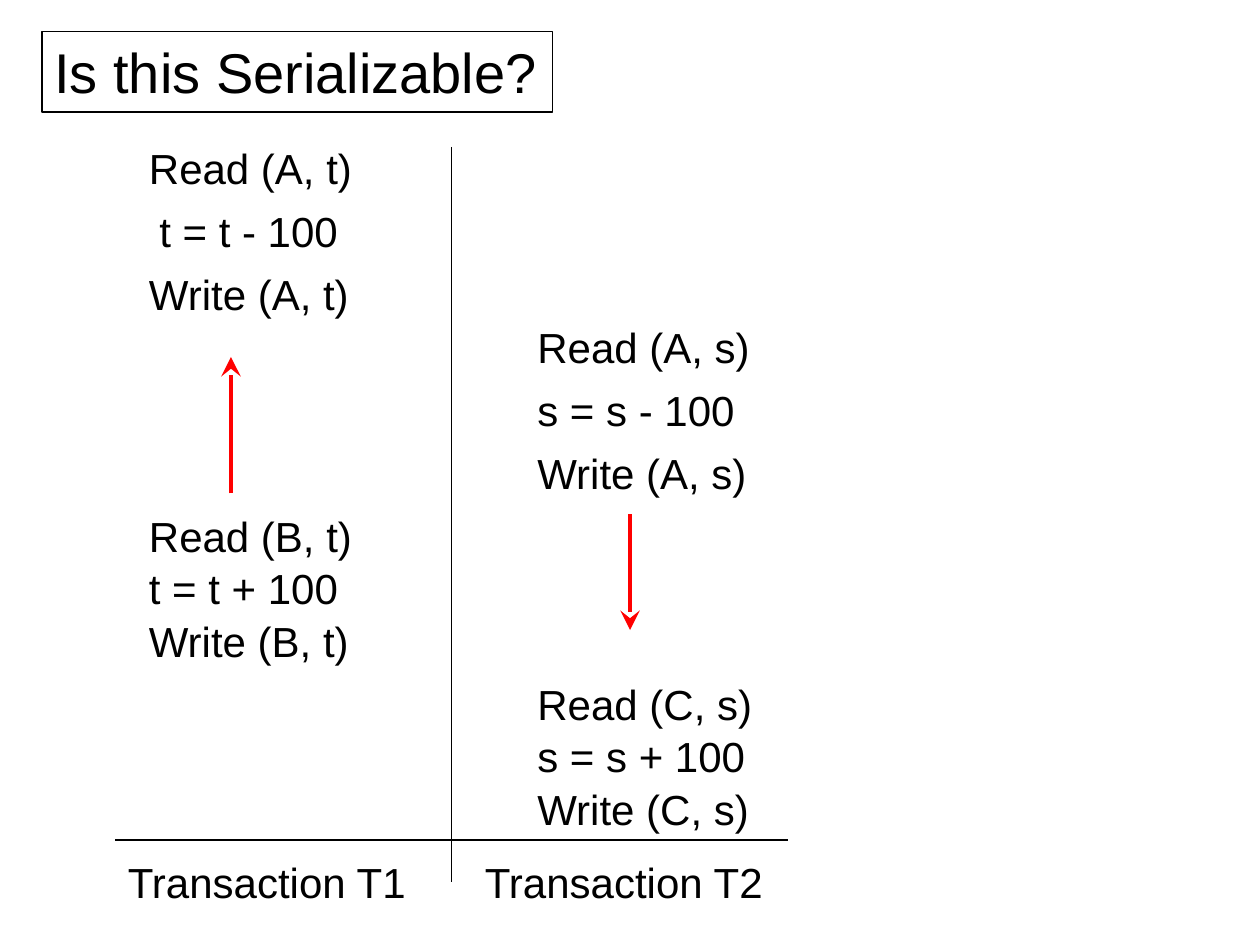
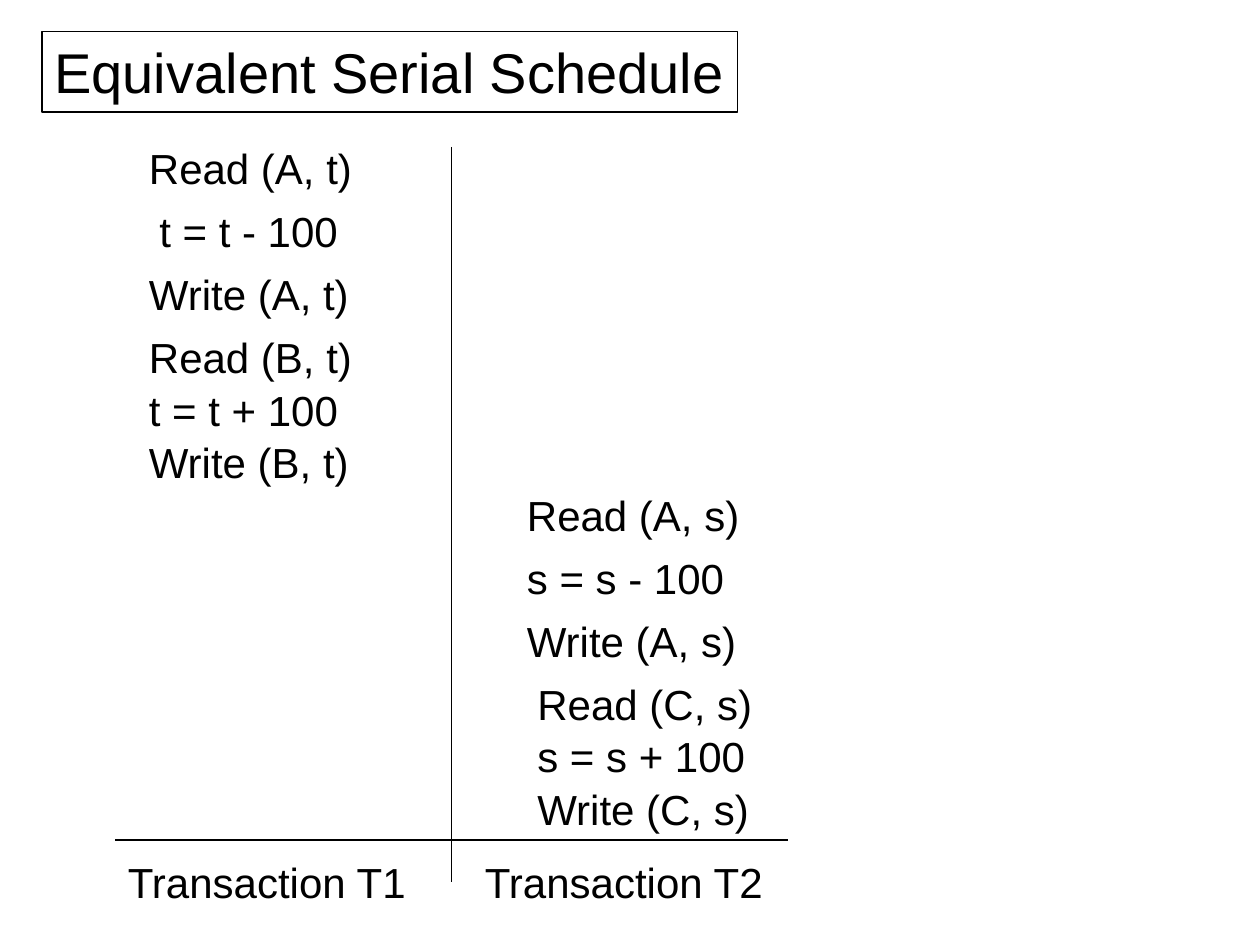
from lxml import etree
from pptx import Presentation
from pptx import util as u
from pptx.dml.color import RGBColor
from pptx.enum import shapes, text
from pptx.oxml import ns

BLACK = RGBColor(0, 0, 0)
RED = RGBColor(255, 0, 0)
FONT = "Arial"
WIDTH, HEIGHT = u.Inches(10), u.Inches(7.5)
COLUMNS, ROWS = 120, 90
LINE_HEIGHT = 6
T1_COLUMN = 13
T2_COLUMN = 50

WITHDRAW_T1 = [("Read (A, t)", 1.85, 0), ("t = t - 100", 1.65, 1), ("Write (A, t)", 1.88, 0)]
DEPOSIT_T1 = [("Read (B, t)", 1.85, 0), ("t = t + 100", 1.75, 0), ("Write (B, t)", 1.83, 0)]
WITHDRAW_T2 = [("Read (A, s)", 1.92, 0), ("s = s - 100", 1.8, 0), ("Write (A, s)", 1.96, 0)]
DEPOSIT_T2 = [("Read (C, s)", 1.95, 0), ("s = s + 100", 1.9, 0), ("Write (C, s)", 1.92, 0)]


def across(column):
    return int(WIDTH * column / COLUMNS)


def down(row):
    return int(HEIGHT * row / ROWS)


def write(box, words, size=24, color=BLACK):
    frame = box.text_frame
    frame.word_wrap = False
    frame.auto_size = text.MSO_AUTO_SIZE.SHAPE_TO_FIT_TEXT
    frame.vertical_anchor = text.MSO_ANCHOR.TOP
    para = frame.paragraphs[0]
    para.alignment = text.PP_ALIGN.LEFT
    span = para.add_run()
    span.text = words
    span.font.name = FONT
    span.font.size = u.Pt(size)
    span.font.color.rgb = color


def add_label(page, words, column, row, width):
    box = page.shapes.add_textbox(across(column), down(row), u.Inches(width), down(LINE_HEIGHT))
    write(box, words)


def add_steps(page, steps, column, row, pitch):
    for index, (words, width, indent) in enumerate(steps):
        add_label(page, words, column + indent, row + index * pitch, width)


def add_line(page, start, end, color=BLACK, weight=0.75, arrow=False):
    line = page.shapes.add_connector(
        shapes.MSO_CONNECTOR.STRAIGHT,
        across(start[0]), down(start[1]), across(end[0]), down(end[1]))
    line.line.color.rgb = color
    line.line.width = u.Pt(weight)
    if arrow:
        etree.SubElement(line.line._get_or_add_ln(), ns.qn("a:tailEnd"),
                         type="stealth", w="lg", len="lg")
    etree.SubElement(line._element.spPr, ns.qn("a:effectLst"))


def add_title(page, words, width):
    box = page.shapes.add_shape(
        shapes.MSO_SHAPE.RECTANGLE, across(4), down(3), u.Inches(width), u.Inches(0.64))
    box.shadow.inherit = False
    box.fill.background()
    box.line.color.rgb = BLACK
    box.line.width = u.Pt(0.75)
    write(box, words, size=32)


def add_schedule(deck, title, title_width, deposit_t1_row, withdraw_t2_column, withdraw_t2_row):
    page = deck.slides.add_slide(deck.slide_layouts[6])
    add_steps(page, WITHDRAW_T1, T1_COLUMN, 13, pitch=6)
    add_steps(page, DEPOSIT_T1, T1_COLUMN, deposit_t1_row, pitch=5)
    add_steps(page, WITHDRAW_T2, withdraw_t2_column, withdraw_t2_row, pitch=6)
    add_steps(page, DEPOSIT_T2, T2_COLUMN, 64, pitch=5)
    add_line(page, (43, 14), (43, 84))
    add_line(page, (11, 80), (75, 80))
    add_label(page, "Transaction T1", 11, 81, 2.42)
    add_label(page, "Transaction T2", 45, 81, 2.42)
    add_title(page, title, title_width)
    return page


def main():
    deck = Presentation()
    deck.slide_width, deck.slide_height = WIDTH, HEIGHT

    page = add_schedule(deck, "Is this Serializable?", 4.05,
                        deposit_t1_row=48, withdraw_t2_column=T2_COLUMN, withdraw_t2_row=30)
    add_line(page, (22, 47), (22, 34), color=RED, weight=2.25, arrow=True)
    add_line(page, (60, 49), (60, 60), color=RED, weight=2.25, arrow=True)

    add_schedule(deck, "Equivalent Serial Schedule", 5.52,
                 deposit_t1_row=31, withdraw_t2_column=49, withdraw_t2_row=46)

    deck.save("out.pptx")


if __name__ == "__main__":
    main()
